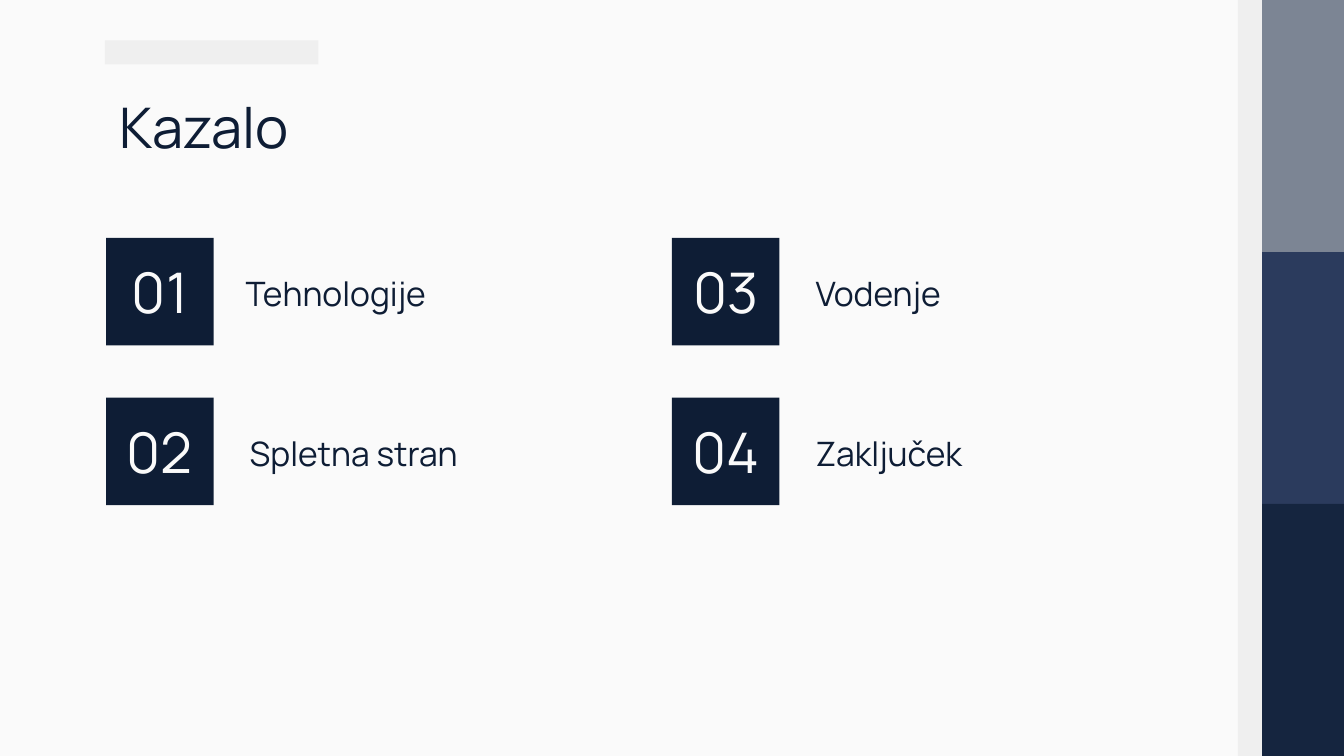
from pptx import Presentation
from pptx.dml.color import RGBColor
from pptx.enum.shapes import MSO_SHAPE
from pptx.enum.text import MSO_ANCHOR, PP_ALIGN
from pptx.util import Inches, Pt

RECTANGLE = MSO_SHAPE.RECTANGLE
TOP, MIDDLE = MSO_ANCHOR.TOP, MSO_ANCHOR.MIDDLE
LEFT, CENTER = PP_ALIGN.LEFT, PP_ALIGN.CENTER
WIDTH = 10
HEIGHT = WIDTH * 9 / 16
FONT = "Manrope"
NAVY, PAPER, PALE = "0E1D35", "FAFAFA", "EFEFEF"
BAND_COLOURS = ("7C8594", "2B3B5D", "15253F")
COLUMNS = (0.79, 5)
ROWS = (1.77, 2.96)
TILE = 0.8
ENTRIES = (
    ("Tehnologije", 1.73),
    ("Spletna stran", 1.76),
    ("Vodenje", 5.97),
    ("Zaključek", 5.97),
)


def paint(fill, colour):
    """Give a fill one solid colour."""
    fill.solid()
    fill.fore_color.rgb = RGBColor.from_string(colour)


def add_rectangle(page, left, top, width, height, colour):
    """Add a flat rectangle without outline or shadow."""
    box = page.shapes.add_shape(
        RECTANGLE, Inches(left), Inches(top), Inches(width), Inches(height)
    )
    box.shadow.inherit = False
    box.line.fill.background()
    paint(box.fill, colour)
    return box


def write(box, text, size, colour, align=LEFT, anchor=TOP):
    """Set one line of text in a shape or text box."""
    frame = box.text_frame
    frame.word_wrap = True
    frame.vertical_anchor = anchor
    frame.margin_left = frame.margin_right = Inches(0.1)
    frame.margin_top = frame.margin_bottom = Inches(0.1)
    para = frame.paragraphs[0]
    para.text = text
    para.alignment = align
    para.font.name = FONT
    para.font.size = Pt(size)
    para.font.color.rgb = RGBColor.from_string(colour)


def add_text(page, left, top, width, height, text, size):
    """Add a text box in the main text colour."""
    box = page.shapes.add_textbox(
        Inches(left), Inches(top), Inches(width), Inches(height)
    )
    write(box, text, size, NAVY)


def add_side_bands(page):
    """Stack the coloured bands along the right edge, beside a pale strip."""
    band_height = HEIGHT / len(BAND_COLOURS)
    for index, colour in enumerate(BAND_COLOURS):
        add_rectangle(page, 9.39, index * band_height, 0.61, band_height, colour)
    add_rectangle(page, 9.21, 0, 0.18, HEIGHT, PALE)


def add_entry(page, index, text, text_left):
    """Add a numbered tile and its label, filling the grid column by column."""
    column, row = divmod(index, len(ROWS))
    top = ROWS[row]
    tile = add_rectangle(page, COLUMNS[column], top, TILE, TILE, NAVY)
    write(tile, f"{index + 1:02}", 30, PAPER, CENTER, MIDDLE)
    add_text(page, text_left, top + 0.16, 2.77, 0.48, text, 18)


def main():
    """Build the contents slide and save it."""
    deck = Presentation()
    deck.slide_width, deck.slide_height = Inches(WIDTH), Inches(HEIGHT)
    page = deck.slides.add_slide(deck.slide_layouts[6])
    paint(page.background.fill, PAPER)
    add_side_bands(page)
    add_rectangle(page, 0.78, 0.3, 1.59, 0.18, PALE)
    add_text(page, 0.79, 0.59, 8.43, 0.63, "Kazalo", 30)
    for index, (text, text_left) in enumerate(ENTRIES):
        add_entry(page, index, text, text_left)
    deck.save("out.pptx")


if __name__ == "__main__":
    main()
